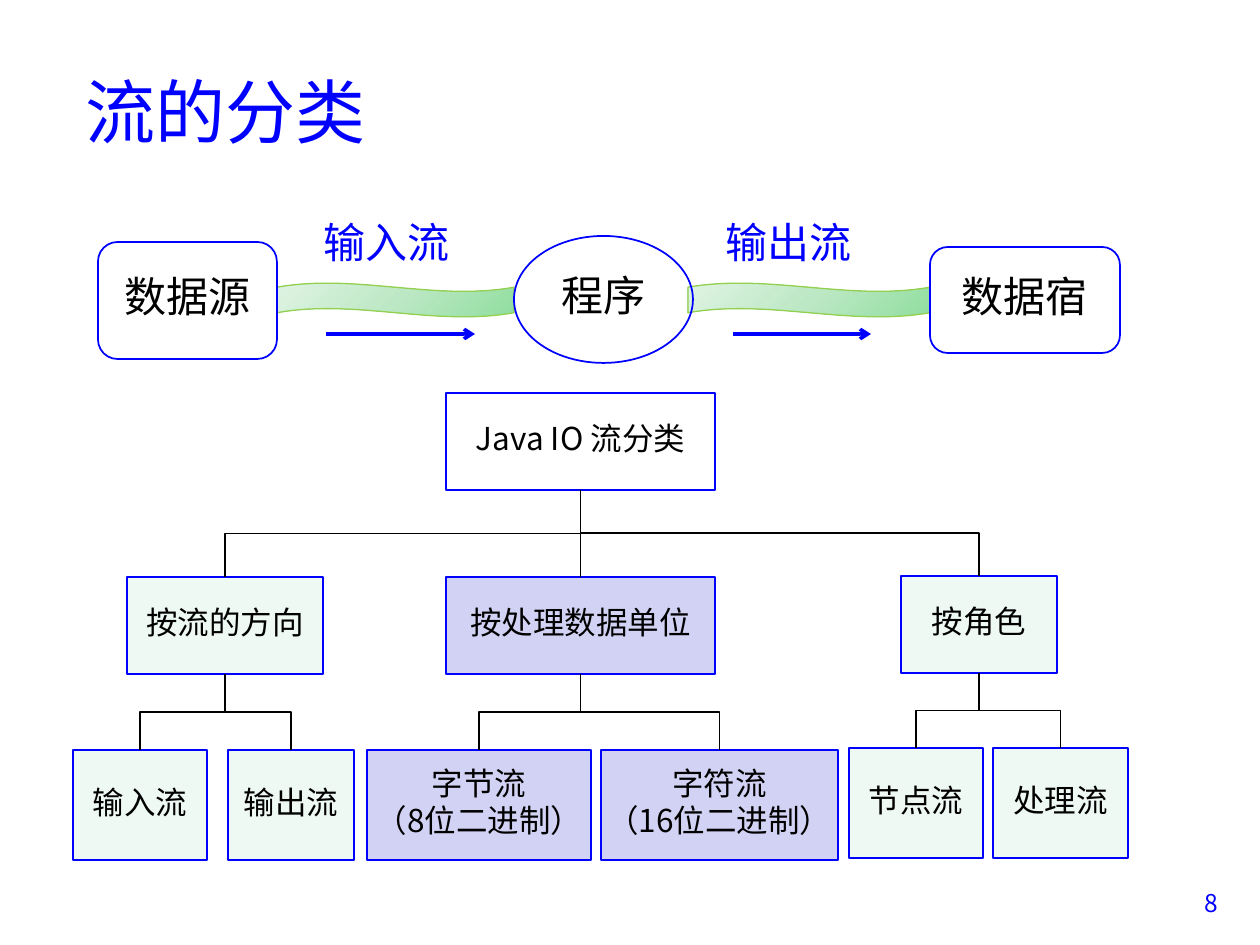
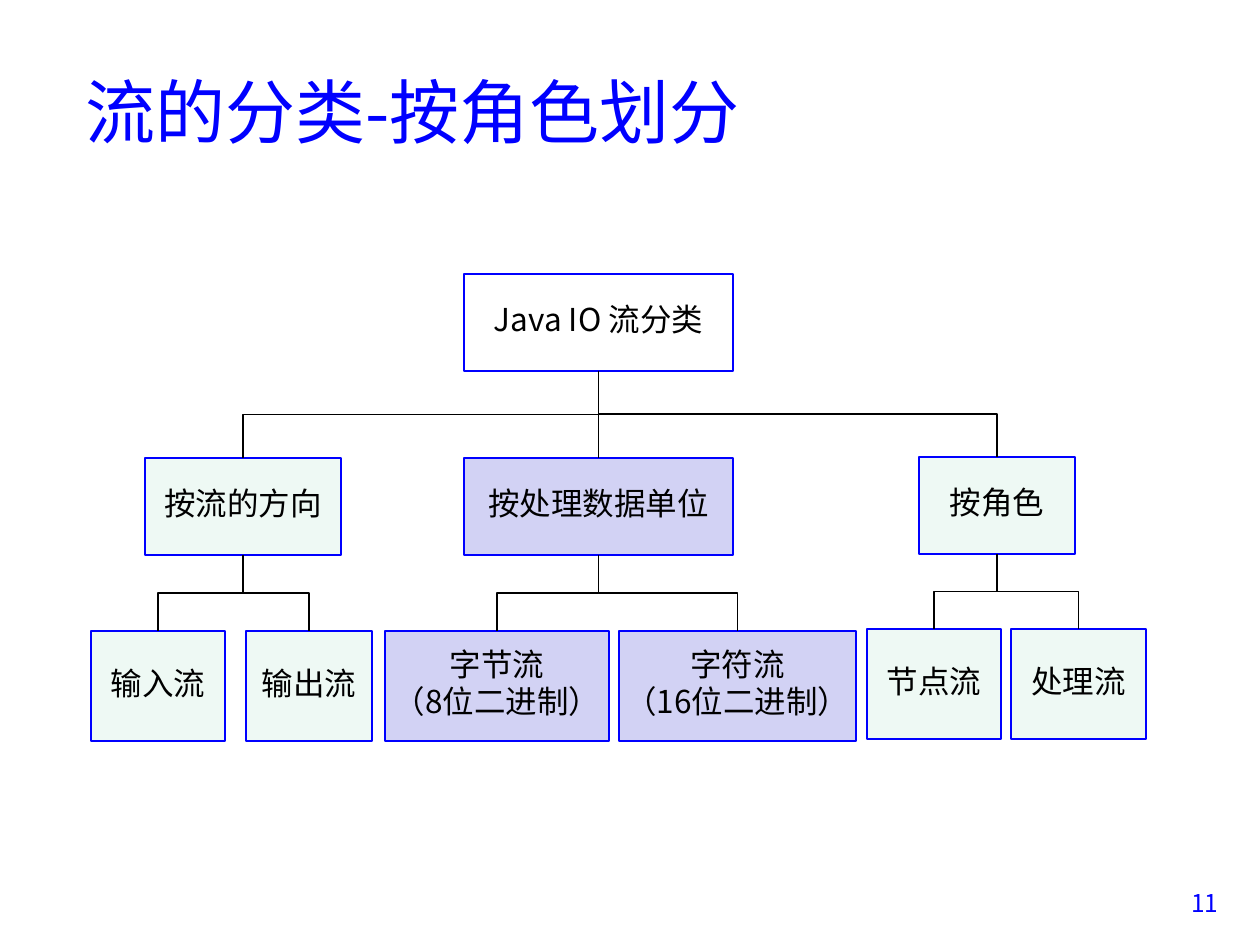
from dataclasses import dataclass
from typing import Optional

from lxml.etree import SubElement
from pptx import Presentation
from pptx.dml.color import RGBColor
from pptx.enum.shapes import MSO_CONNECTOR, MSO_SHAPE
from pptx.enum.text import MSO_ANCHOR, PP_ALIGN
from pptx.oxml.ns import qn
from pptx.util import Inches, Pt

EMU_PER_PX = Inches(1) / 126

BLUE = "0000FF"
BLACK = "000000"
MINT = "EEF9F4"
LILAC = "D2D2F4"
WAVE_EDGE = "92D050"
WAVE_STOPS = ((0, "91DEA0"), (50, "BDE8C5"), (100, "DFF3E3"))
MAIN_FONT = "Noto Sans CJK SC"
LABEL_FONT = "Courier New"
HANGING = 48


@dataclass(frozen=True)
class Box:
    left: int
    top: int
    width: int
    height: int

    @property
    def center_x(self) -> float:
        return self.left + self.width / 2

    def moved(self, dx: int, dy: int) -> "Box":
        return Box(self.left + dx, self.top + dy, self.width, self.height)


@dataclass(frozen=True)
class TextStyle:
    size: int
    color: str = BLACK
    font: str = MAIN_FONT
    align: PP_ALIGN = PP_ALIGN.LEFT
    tight: bool = False
    hanging: int = 0


@dataclass(frozen=True)
class Category:
    text: str
    box: Box
    fill: Optional[str] = None
    margin: Optional[int] = None
    children: tuple["Category", ...] = ()


@dataclass(frozen=True)
class Endpoint:
    text: str
    box: Box
    outline: MSO_SHAPE


@dataclass(frozen=True)
class Flow:
    label: str
    label_left: int
    wave: Box
    arrow_from: int
    arrow_to: int


TITLE_STYLE = TextStyle(40, BLUE)
PAGE_STYLE = TextStyle(14, BLUE, align=PP_ALIGN.RIGHT)
CATEGORY_STYLE = TextStyle(18, align=PP_ALIGN.CENTER, tight=True, hanging=HANGING)
ENDPOINT_STYLE = TextStyle(24, align=PP_ALIGN.CENTER, tight=True, hanging=HANGING)
FLOW_STYLE = TextStyle(24, BLUE, LABEL_FONT, tight=True)

TITLE_BOX = Box(73, 32, 1071, 157)
PAGE_BOX = Box(1147, 882, 84, 63)

STREAM_TREE = Category("Java IO 流分类", Box(446, 393, 269, 97), children=(
    Category("按流的方向", Box(127, 577, 196, 97), MINT, children=(
        Category("输入流", Box(73, 750, 134, 110), MINT),
        Category("输出流", Box(228, 750, 126, 110), MINT),
    )),
    Category("按处理数据单位", Box(446, 577, 269, 97), LILAC, children=(
        Category("字节流\n（8位二进制）", Box(367, 750, 224, 110), LILAC, 0),
        Category("字符流\n（16位二进制）", Box(601, 750, 237, 110), LILAC, 0),
    )),
    Category("按角色", Box(901, 576, 156, 97), MINT, children=(
        Category("节点流", Box(849, 748, 134, 110), MINT),
        Category("处理流", Box(993, 748, 135, 110), MINT),
    )),
))

ENDPOINTS = (
    Endpoint("程序", Box(514, 236, 179, 127), MSO_SHAPE.OVAL),
    Endpoint("数据源", Box(98, 242, 179, 117), MSO_SHAPE.ROUNDED_RECTANGLE),
    Endpoint("数据宿", Box(930, 247, 190, 106), MSO_SHAPE.ROUNDED_RECTANGLE),
)
FLOWS = (
    Flow("输入流", 311, Box(277, 283, 237, 34), 326, 475),
    Flow("输出流", 713, Box(688, 283, 242, 34), 733, 871),
)
FLOW_LABEL_TOP = 220
FLOW_ARROW_Y = 334


def px(length: float) -> int:
    return round(length * EMU_PER_PX)


def emu_box(box: Box) -> tuple[int, ...]:
    return tuple(px(n) for n in (box.left, box.top, box.width, box.height))


def rgb(color: str) -> RGBColor:
    return RGBColor.from_string(color)


def write_text(frame, text: str, style: TextStyle) -> None:
    frame.text = text
    for paragraph in frame.paragraphs:
        paragraph.alignment = style.align
        if style.tight:
            paragraph.line_spacing = 0.8
            paragraph.space_before = Pt(style.size * 0.2)
        font = paragraph.font
        font.size = Pt(style.size)
        font.name = style.font
        font.color.rgb = rgb(style.color)
        properties = paragraph._p.get_or_add_pPr()
        if style.hanging:
            properties.set("marL", str(px(style.hanging)))
            properties.set("indent", str(-px(style.hanging)))
        east_asian = SubElement(properties.find(qn("a:defRPr")), qn("a:ea"))
        east_asian.set("typeface", MAIN_FONT)


def add_text(slide, text: str, box: Box, style: TextStyle,
             anchor: MSO_ANCHOR = MSO_ANCHOR.TOP, wrap: bool = True) -> None:
    frame = slide.shapes.add_textbox(*emu_box(box)).text_frame
    frame.word_wrap = wrap
    frame.vertical_anchor = anchor
    write_text(frame, text, style)


def add_outlined(slide, outline: MSO_SHAPE, box: Box, line: str, weight: float,
                 fill: Optional[str] = None):
    shape = slide.shapes.add_shape(outline, *emu_box(box))
    shape.shadow.inherit = False
    shape.line.color.rgb = rgb(line)
    shape.line.width = Pt(weight)
    if fill:
        shape.fill.solid()
        shape.fill.fore_color.rgb = rgb(fill)
    else:
        shape.fill.background()
    return shape


def add_line(slide, kind: MSO_CONNECTOR, start: tuple[float, float],
             end: tuple[float, float], color: str, weight: float):
    line = slide.shapes.add_connector(kind, *(px(n) for n in start + end))
    line.line.color.rgb = rgb(color)
    line.line.width = Pt(weight)
    SubElement(line._element.spPr, qn("a:effectLst"))
    return line


def add_branch(slide, parent: Box, child: Box) -> None:
    """Join parent's bottom to child's top with an elbow that leaves downwards."""
    x1, y1 = parent.center_x, parent.top + parent.height
    x2, y2 = child.center_x, child.top
    middle_x, middle_y = (x1 + x2) / 2, (y1 + y2) / 2
    rightward = x2 > x1
    half_drop = (y2 - y1) / 2 * (1 if rightward else -1)
    half_span = abs(x2 - x1) / 2
    branch = add_line(slide, MSO_CONNECTOR.ELBOW,
                      (middle_x + half_drop, middle_y - half_span),
                      (middle_x - half_drop, middle_y + half_span), BLACK, 1)
    branch.rotation = 270 if rightward else 90


def add_category(slide, category: Category, dx: int, dy: int) -> None:
    """Draw a category, its descendants and the branches between them."""
    box = category.box.moved(dx, dy)
    shape = add_outlined(slide, MSO_SHAPE.RECTANGLE, box, BLUE, 0.75, category.fill)
    frame = shape.text_frame
    frame.word_wrap = True
    frame.vertical_anchor = MSO_ANCHOR.MIDDLE
    if category.margin is not None:
        frame.margin_left = frame.margin_right = px(category.margin)
        frame.margin_top = frame.margin_bottom = px(category.margin)
    write_text(frame, category.text, CATEGORY_STYLE)
    for child in category.children:
        add_category(slide, child, dx, dy)
        add_branch(slide, box, child.box.moved(dx, dy))


def add_wave(slide, box: Box) -> None:
    wave = add_outlined(slide, MSO_SHAPE.WAVE, box, WAVE_EDGE, 0.75)
    wave.fill.gradient()
    wave.fill.gradient_angle = 135
    stops = wave._element.spPr.find(f".//{qn('a:gsLst')}")
    for stop in list(stops):
        stops.remove(stop)
    for position, color in WAVE_STOPS:
        stop = SubElement(stops, qn("a:gs"), pos=str(position * 1000))
        SubElement(stop, qn("a:srgbClr"), val=color)


def add_endpoint(slide, endpoint: Endpoint) -> None:
    shape = add_outlined(slide, endpoint.outline, endpoint.box, BLUE, 1)
    frame = shape.text_frame
    frame.word_wrap = True
    frame.vertical_anchor = MSO_ANCHOR.MIDDLE
    if endpoint.outline == MSO_SHAPE.OVAL:
        frame.margin_left = frame.margin_right = 0
    write_text(frame, endpoint.text, ENDPOINT_STYLE)


def add_data_flow(slide) -> None:
    for flow in FLOWS:
        add_wave(slide, flow.wave)
    for endpoint in ENDPOINTS:
        add_endpoint(slide, endpoint)
    for flow in FLOWS:
        add_text(slide, flow.label, Box(flow.label_left, FLOW_LABEL_TOP, 152, 54),
                 FLOW_STYLE, wrap=False)
        arrow = add_line(slide, MSO_CONNECTOR.STRAIGHT,
                         (flow.arrow_from, FLOW_ARROW_Y),
                         (flow.arrow_to, FLOW_ARROW_Y), BLUE, 2)
        SubElement(arrow.line._get_or_add_ln(), qn("a:tailEnd"), type="arrow")


def add_page(deck, title: str, number: int):
    slide = deck.slides.add_slide(deck.slide_layouts[6])
    add_text(slide, title, TITLE_BOX, TITLE_STYLE, MSO_ANCHOR.MIDDLE)
    add_text(slide, str(number), PAGE_BOX, PAGE_STYLE)
    return slide


def main() -> None:
    deck = Presentation()
    deck.slide_width, deck.slide_height = px(1260), px(945)

    overview = add_page(deck, "流的分类", 8)
    add_category(overview, STREAM_TREE, 0, 0)
    add_data_flow(overview)

    by_role = add_page(deck, "流的分类-按角色划分", 11)
    add_category(by_role, STREAM_TREE, 18, -119)

    deck.save("out.pptx")


if __name__ == "__main__":
    main()
